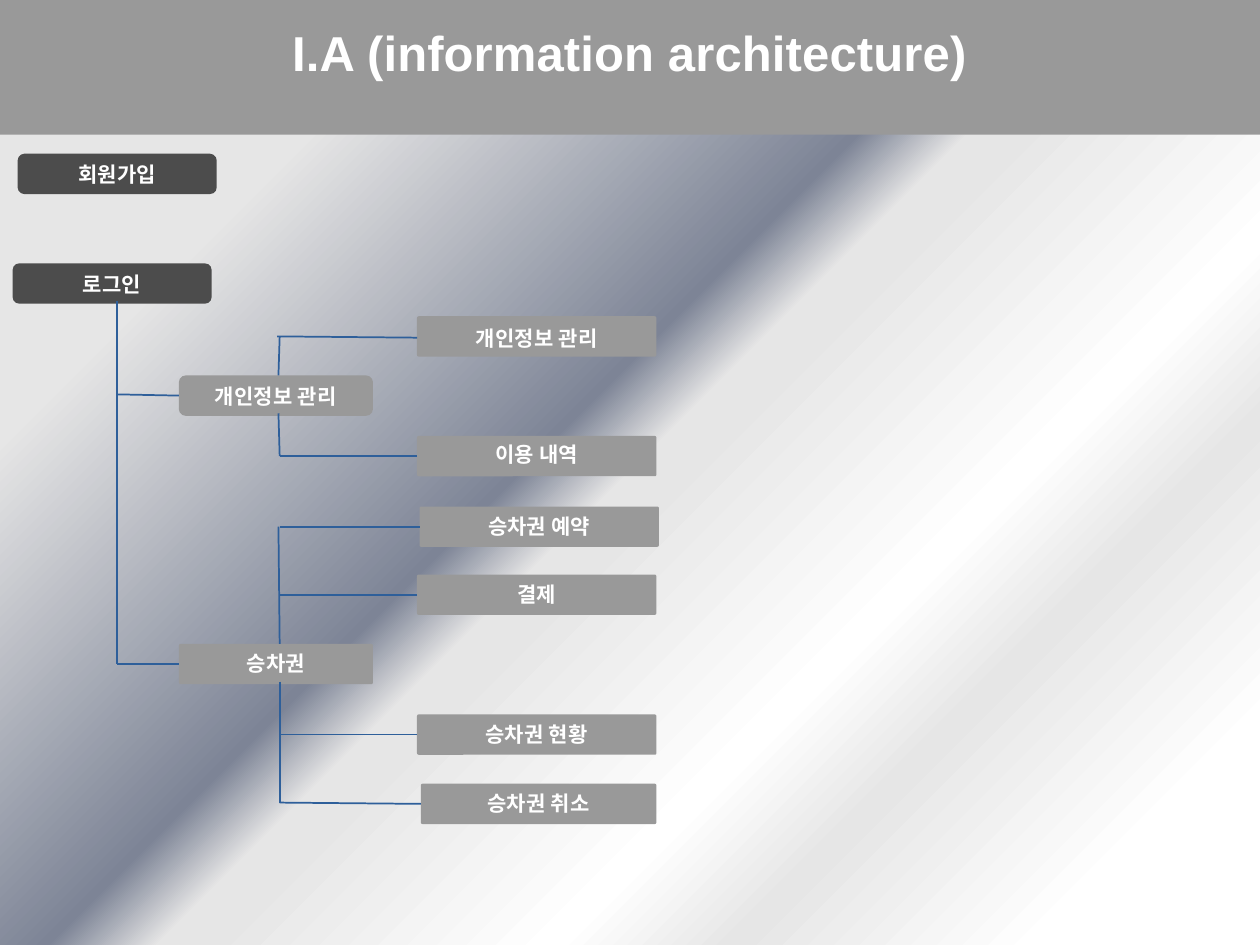
from typing import NamedTuple

from lxml.etree import SubElement
from pptx import Presentation
from pptx.dml.color import RGBColor
from pptx.enum.shapes import MSO_CONNECTOR as Connector, MSO_SHAPE as Preset
from pptx.enum.text import MSO_ANCHOR as Anchor, PP_ALIGN as Align
from pptx.oxml import parse_xml
from pptx.oxml.ns import nsdecls, qn
from pptx.util import Emu, Pt

PX = 9144  # 100 px to the inch

WHITE = RGBColor(0xFF, 0xFF, 0xFF)
GRAY = RGBColor(0x99, 0x99, 0x99)
DARK = RGBColor(0x4C, 0x4C, 0x4C)
BLUE = RGBColor(0x2E, 0x5F, 0x9A)
MIST = RGBColor(0xE6, 0xE6, 0xE6)
SLATE = RGBColor(0x7D, 0x84, 0x96)

LATIN = "Arial"
KOREAN = "Noto Sans CJK KR"
BOX_HEIGHT = 32
ROUND, SQUARE = 0.167, 0.042

GRADIENT = [(6, WHITE), (10, WHITE), (24, MIST), (32, WHITE),
            (48, MIST), (50, MIST), (55, SLATE), (80, MIST)]


class Box(NamedTuple):
    label: str
    left: int
    top: int
    width: int = 190
    corner: float = SQUARE
    fill: RGBColor = GRAY
    inset: int = 5


class Line(NamedTuple):
    x1: int
    y1: int
    x2: int
    y2: int


BOXES = [
    Box("회원가입", 14, 122, 158, ROUND, DARK),
    Box("로그인", 10, 209, 158, ROUND, DARK),
    Box("개인정보 관리", 142, 298, 154, ROUND),
    Box("개인정보 관리", 331, 251, inset=7),
    Box("이용 내역", 331, 346, inset=4),
    Box("승차권", 142, 511, 154),
    Box("승차권 예약", 333, 402),
    Box("결제", 331, 456),
    Box("승차권 현황", 331, 567),
    Box("승차권 취소", 334, 622, 187),
]

LOGIN_LINES = [
    Line(93, 239, 93, 527),
    Line(142, 314, 93, 313),
    Line(142, 527, 93, 527),
]
PROFILE_LINES = [
    Line(221, 298, 222, 267),
    Line(221, 328, 222, 362),
    Line(331, 268, 220, 267),
    Line(331, 362, 222, 362),
]
TICKET_LINES = [
    Line(222, 511, 221, 418),
    Line(222, 541, 222, 637),
    Line(333, 418, 222, 418),
    Line(331, 472, 222, 472),
    Line(331, 583, 222, 583),
    Line(334, 638, 222, 637),
]


def px(value: int) -> Emu:
    return Emu(value * PX)


def set_background(slide) -> None:
    """Fill the slide with a gradient that starts in the lower right corner."""
    stops = "".join(
        f'<a:gs pos="{percent * 1000}"><a:srgbClr val="{color}"/></a:gs>'
        for percent, color in GRADIENT)
    slide.element.cSld.insert(0, parse_xml(
        f'<p:bg {nsdecls("p", "a")}><p:bgPr><a:gradFill rotWithShape="1">'
        f'<a:gsLst>{stops}</a:gsLst>'
        '<a:path path="circle"><a:fillToRect l="100000" t="100000"/></a:path>'
        '<a:tileRect r="-100000" b="-100000"/>'
        '</a:gradFill><a:effectLst/></p:bgPr></p:bg>'))


def write_label(shape, text: str, size: int, font_name: str, inset: int) -> None:
    frame = shape.text_frame
    frame.word_wrap = True
    frame.vertical_anchor = Anchor.TOP
    frame.margin_top = px(inset)
    frame.margin_bottom = 0
    paragraph = frame.paragraphs[0]
    paragraph.text = text
    paragraph.alignment = Align.CENTER
    font = paragraph.font
    font.size = Pt(size)
    font.bold = True
    font.color.rgb = WHITE
    font.name = font_name
    properties = paragraph._p.pPr.find(qn("a:defRPr"))
    properties.set("spc", "10")
    SubElement(properties, qn("a:ea")).set("typeface", font_name)


def add_panel(slide, preset: Preset, left: int, top: int, width: int,
              height: int, fill: RGBColor):
    shape = slide.shapes.add_shape(preset, px(left), px(top), px(width), px(height))
    shape.shadow.inherit = False
    shape.fill.solid()
    shape.fill.fore_color.rgb = fill
    shape.line.fill.background()
    return shape


def add_box(slide, box: Box) -> None:
    shape = add_panel(slide, Preset.ROUNDED_RECTANGLE, box.left, box.top,
                      box.width, BOX_HEIGHT, box.fill)
    shape.adjustments[0] = box.corner
    write_label(shape, box.label, 12, KOREAN, box.inset)


def add_line(slide, line: Line) -> None:
    connector = slide.shapes.add_connector(
        Connector.STRAIGHT, *(px(value) for value in line))
    connector.line.color.rgb = BLUE
    connector.line.width = Pt(1)
    SubElement(connector._element.spPr, qn("a:effectLst"))


def main() -> None:
    presentation = Presentation()
    presentation.slide_width, presentation.slide_height = px(1000), px(750)
    slide = presentation.slides.add_slide(presentation.slide_layouts[6])
    set_background(slide)
    header = add_panel(slide, Preset.RECTANGLE, 0, 0, 1000, 107, GRAY)
    write_label(header, "I.A (information architecture)", 28, LATIN, 18)
    for box in BOXES:
        add_box(slide, box)
    for line in LOGIN_LINES + PROFILE_LINES + TICKET_LINES:
        add_line(slide, line)
    presentation.save("out.pptx")


if __name__ == "__main__":
    main()
